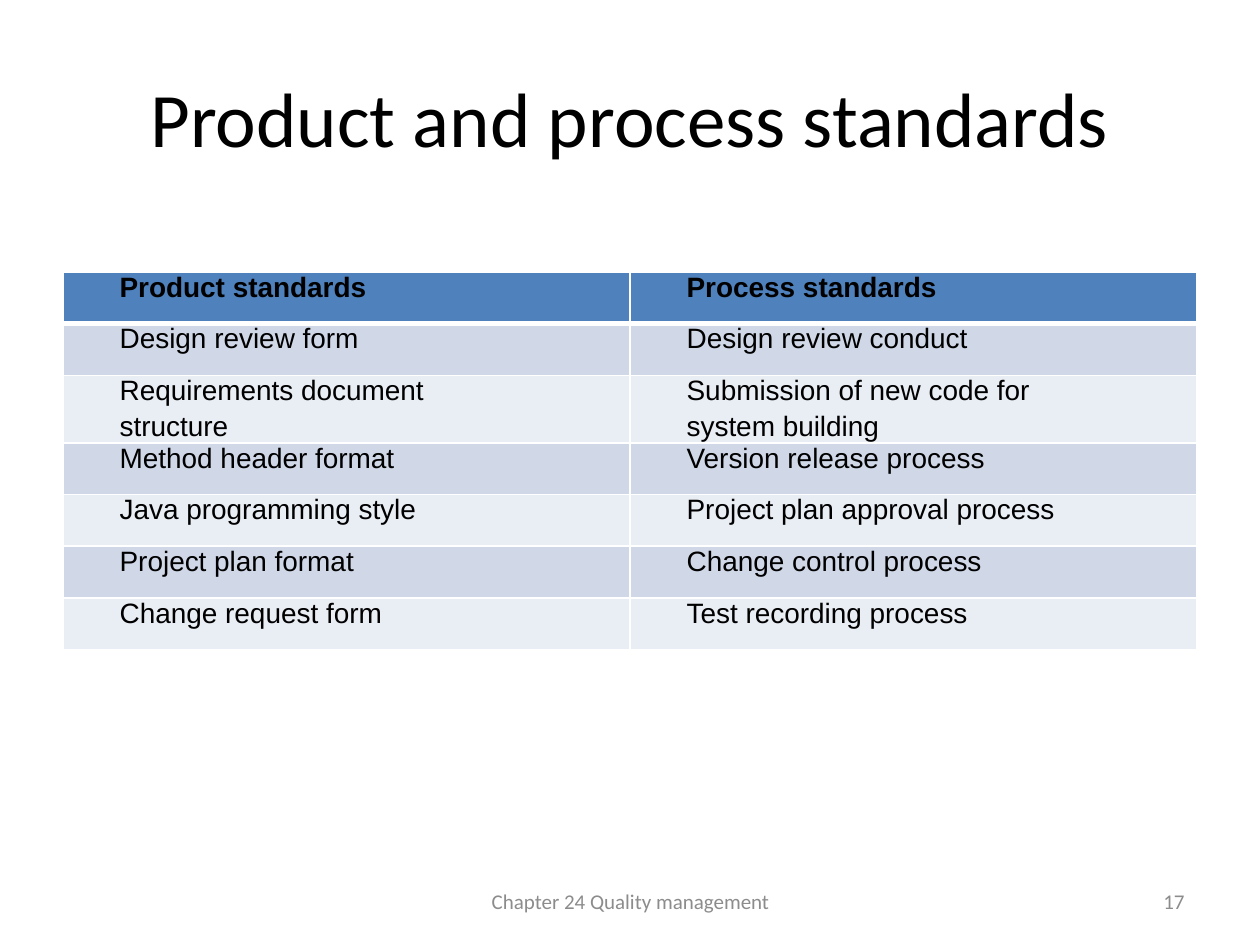
from lxml import etree
from pptx import Presentation
from pptx.dml.color import RGBColor
from pptx.enum.text import MSO_ANCHOR, PP_ALIGN
from pptx.oxml.ns import qn
from pptx.util import Inches, Pt

LEFT, CENTER, RIGHT, JUSTIFY = (PP_ALIGN.LEFT, PP_ALIGN.CENTER,
                                PP_ALIGN.RIGHT, PP_ALIGN.JUSTIFY)
MIDDLE = MSO_ANCHOR.MIDDLE

BLACK = RGBColor(0x00, 0x00, 0x00)
WHITE = RGBColor(0xFF, 0xFF, 0xFF)
GRAY = RGBColor(0x8C, 0x8C, 0x8C)
HEADER_BLUE = RGBColor(0x4F, 0x81, 0xBD)
BANDS = (RGBColor(0xE9, 0xED, 0xF4), RGBColor(0xD0, 0xD8, 0xE8))

STANDARDS = [
    ("Product standards", "Process standards"),
    ("Design review form", "Design review conduct"),
    ("Requirements document\nstructure",
     "Submission of new code for \nsystem building"),
    ("Method header format", "Version release process"),
    ("Java programming style", "Project plan approval process"),
    ("Project plan format", "Change control process"),
    ("Change request form", "Test recording process"),
]


def write(tf, text, size=16, font="Arial", color=BLACK, bold=False,
          align=LEFT, indent=0, before=0, after=0):
    """Fill a text frame, one paragraph for each line of text."""
    for i, line in enumerate(text.split("\n")):
        p = tf.add_paragraph() if i else tf.paragraphs[0]
        p.alignment = align
        p.space_before, p.space_after = Pt(before), Pt(after)
        if indent:
            pPr = p._p.get_or_add_pPr()
            pPr.set("marL", "0")
            pPr.set("indent", str(Inches(indent)))
        r = p.add_run()
        r.text = line
        r.font.size, r.font.name, r.font.bold = Pt(size), font, bold
        r.font.color.rgb = color


def set_borders(cell, bottom=1):
    """Draw white cell borders; only the bottom width varies."""
    tcPr = cell._tc.get_or_add_tcPr()
    for side, width in (("L", 1), ("R", 1), ("T", 1), ("B", bottom)):
        ln = etree.SubElement(tcPr, qn(f"a:ln{side}"), w=str(Pt(width)))
        fill = etree.SubElement(ln, qn("a:solidFill"))
        etree.SubElement(fill, qn("a:srgbClr"), val=str(WHITE))


def add_title(s, text, x, y, w, h):
    title = s.shapes.title
    title.left, title.top = Inches(x), Inches(y)
    title.width, title.height = Inches(w), Inches(h)
    title.text_frame.vertical_anchor = MIDDLE
    write(title.text_frame, text, size=44, font="Calibri", align=CENTER)


def add_standards_table(s, rows, x, y, w, row_h):
    n_cols = len(rows[0])
    table = s.shapes.add_table(len(rows), n_cols, Inches(x), Inches(y),
                               Inches(w), Inches(row_h * len(rows))).table
    for col in table.columns:
        col.width = Inches(w / n_cols)
    for i, row in enumerate(rows):
        header = i == 0
        for j, text in enumerate(row):
            cell = table.cell(i, j)
            cell.margin_left = cell.margin_right = Inches(0.07)
            cell.margin_top = cell.margin_bottom = 0
            set_borders(cell, bottom=3 if header else 1)
            cell.fill.solid()
            cell.fill.fore_color.rgb = HEADER_BLUE if header else BANDS[i % 2]
            write(cell.text_frame, text, bold=header, indent=0.38,
                  align=JUSTIFY if header or j else LEFT,
                  before=3 if header else 0, after=3)


def add_footer(s, text, x, y, w, h, align):
    tf = s.shapes.add_textbox(Inches(x), Inches(y), Inches(w),
                              Inches(h)).text_frame
    tf.word_wrap = True
    tf.vertical_anchor = MIDDLE
    write(tf, text, size=12, font="Calibri", color=GRAY, align=align)


def main():
    prs = Presentation()
    prs.slide_width, prs.slide_height = Inches(10), Inches(7.5)
    s = prs.slides.add_slide(prs.slide_layouts[5])  # title only

    add_title(s, "Product and process standards", 0.5, 0.3, 9, 1.25)
    add_standards_table(s, STANDARDS, 0.5, 2.16, 9, 0.41)

    # Footer: slide number and chapter
    add_footer(s, "17", 7.17, 6.95, 2.33, 0.4, RIGHT)
    add_footer(s, "Chapter 24 Quality management", 3.42, 6.95, 3.17, 0.4,
               CENTER)
    prs.save("out.pptx")


if __name__ == "__main__":
    main()
